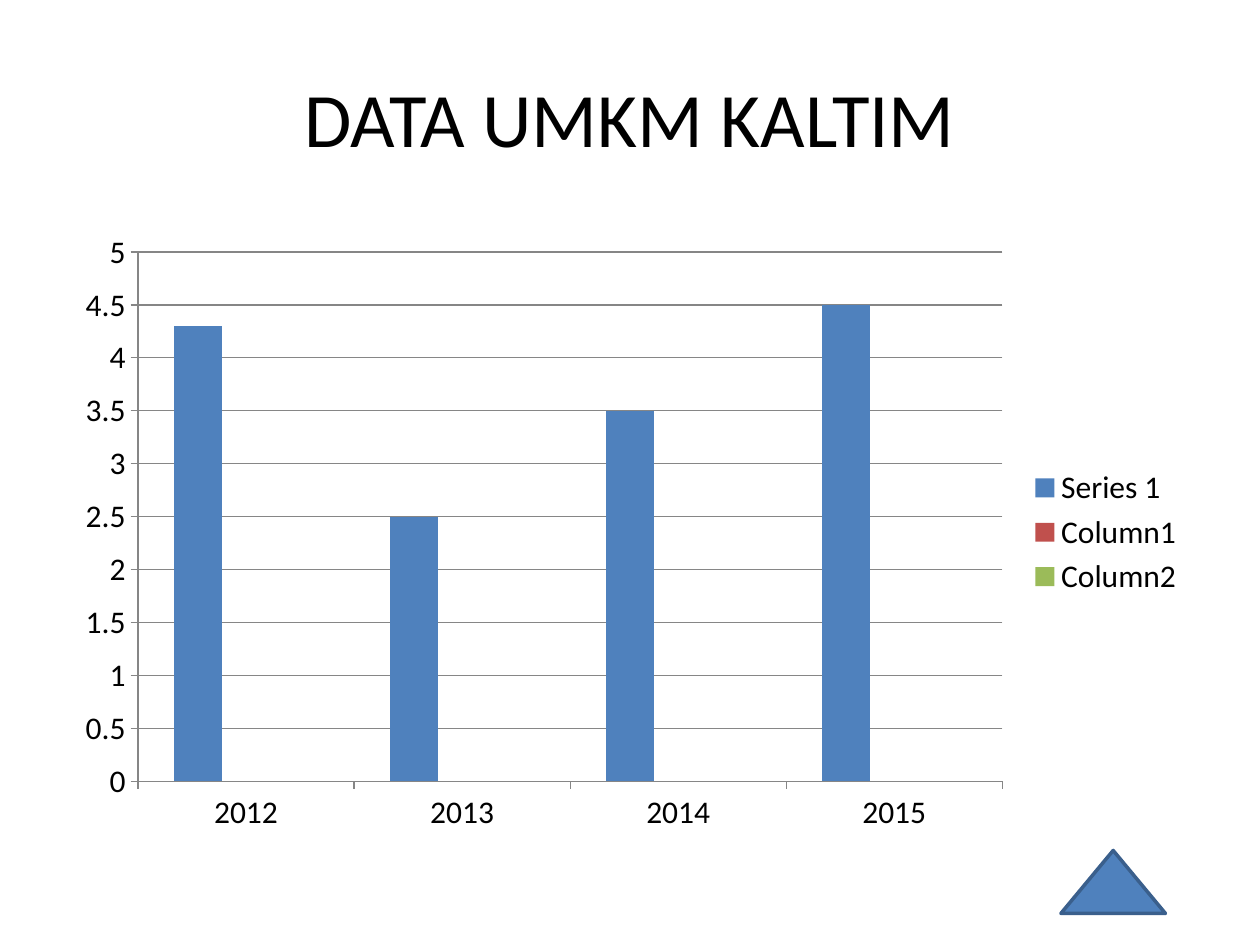
from pptx import Presentation
from pptx.chart.data import CategoryChartData as Data
from pptx.dml.color import RGBColor
from pptx.enum.chart import XL_CHART_TYPE as Kind, XL_LEGEND_POSITION as Side, XL_TICK_MARK as Tick
from pptx.enum.shapes import MSO_SHAPE as Shape
from pptx.enum.text import MSO_ANCHOR as Anchor, PP_ALIGN as Align
from pptx.util import Inches, Pt

BLACK = RGBColor(0x00, 0x00, 0x00)
GRAY = RGBColor(0x86, 0x86, 0x86)
BLUE = RGBColor(0x4F, 0x81, 0xBD)
RED = RGBColor(0xC0, 0x50, 0x4D)
GREEN = RGBColor(0x9B, 0xBB, 0x59)
NAVY = RGBColor(0x3A, 0x5F, 0x8C)
FONT = "Calibri"

deck = Presentation()
deck.slide_width = Inches(10)
deck.slide_height = Inches(7.5)
slide = deck.slides.add_slide(deck.slide_layouts[6])

title = slide.shapes.add_textbox(Inches(0.5), Inches(0.3), Inches(9), Inches(1.25))
frame = title.text_frame
frame.word_wrap = True
frame.vertical_anchor = Anchor.MIDDLE
para = frame.paragraphs[0]
para.alignment = Align.CENTER
run = para.add_run()
run.text = "DATA UMKM KALTIM"
run.font.size = Pt(44)
run.font.name = FONT
run.font.color.rgb = BLACK

data = Data()
data.categories = ["2012", "2013", "2014", "2015"]
data.add_series("Series 1", [4.3, 2.5, 3.5, 4.5])
for name in ["Column1", "Column2"]:
    data.add_series(name, [None] * 4)

chart = slide.shapes.add_chart(
    Kind.COLUMN_CLUSTERED, Inches(0.5), Inches(1.75), Inches(9), Inches(4.95), data
).chart
chart.has_title = False
chart.font.size = Pt(18)
chart.font.name = FONT
chart.font.color.rgb = BLACK
chart.has_legend = True
chart.legend.position = Side.RIGHT
chart.legend.include_in_layout = False

plot = chart.plots[0]
plot.gap_width = 150
plot.overlap = 0
plot.vary_by_categories = False
for series, color in zip(plot.series, [BLUE, RED, GREEN]):
    series.format.fill.solid()
    series.format.fill.fore_color.rgb = color

for axis in [chart.category_axis, chart.value_axis]:
    axis.major_tick_mark = Tick.OUTSIDE
    axis.minor_tick_mark = Tick.NONE
    axis.format.line.color.rgb = GRAY
chart.value_axis.has_major_gridlines = True
chart.value_axis.major_gridlines.format.line.color.rgb = GRAY

arrow = slide.shapes.add_shape(
    Shape.ISOSCELES_TRIANGLE, Inches(8.42), Inches(6.75), Inches(0.83), Inches(0.5)
)
arrow.shadow.inherit = False
arrow.fill.solid()
arrow.fill.fore_color.rgb = BLUE
arrow.line.color.rgb = NAVY
arrow.line.width = Pt(2)

deck.save("out.pptx")
